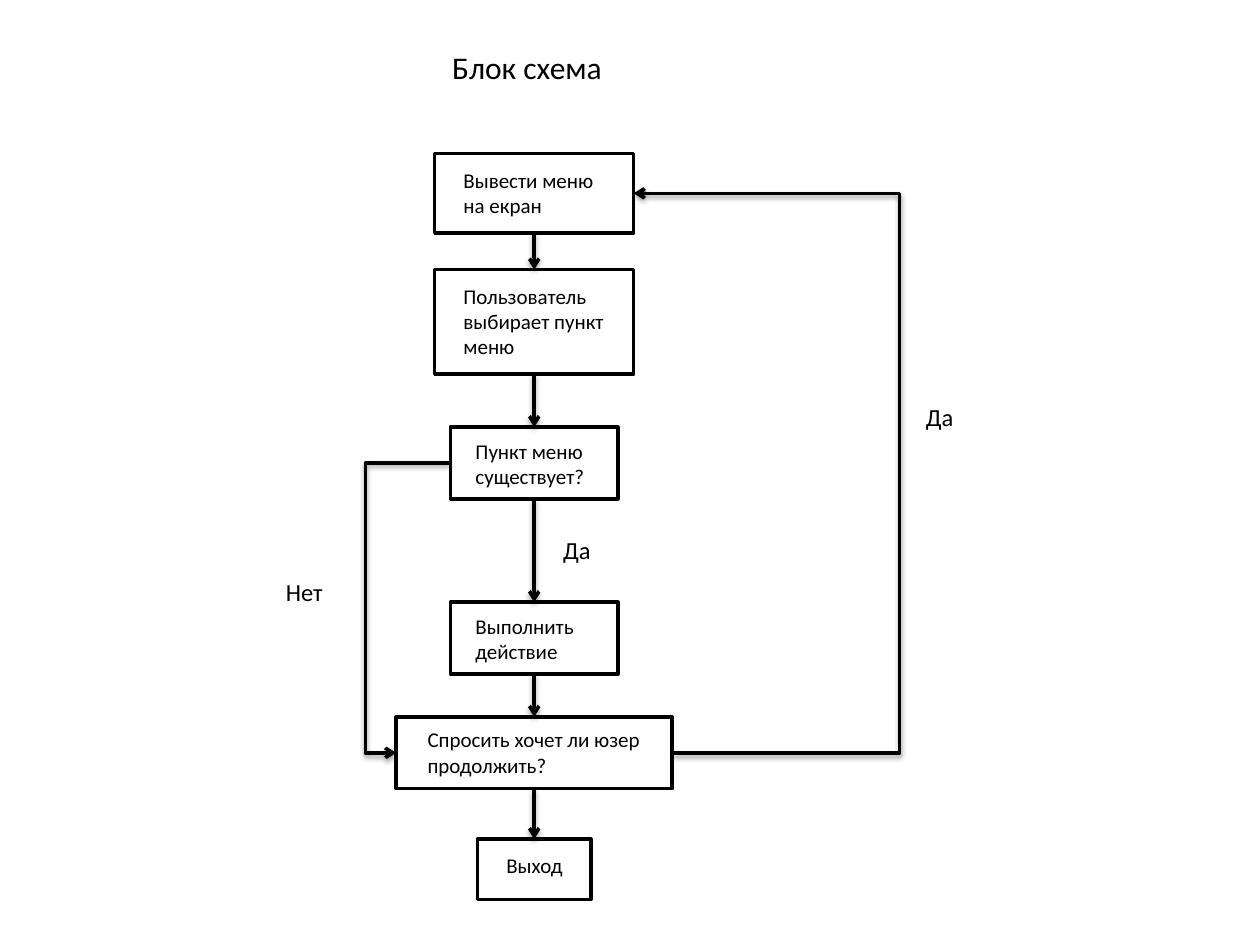
from dataclasses import dataclass
from itertools import pairwise

from lxml.etree import SubElement
from pptx import Presentation
from pptx.dml.color import RGBColor
from pptx.enum.shapes import MSO_CONNECTOR as Connector, MSO_SHAPE as Shape
from pptx.enum.text import MSO_AUTO_SIZE as AutoSize
from pptx.oxml.ns import qn
from pptx.util import Inches, Pt


@dataclass(frozen=True)
class Theme:
    font: str = "Calibri"
    ink: RGBColor = RGBColor(0, 0, 0)
    line: float = 2
    title: int = 18
    label: int = 14
    step: int = 12


@dataclass(frozen=True)
class Region:
    """Area of the slide in inches, divided into square cells."""
    left: float
    top: float
    cell: float = 0.1

    def x(self, column):
        return Inches(self.left + column * self.cell)

    def y(self, row):
        return Inches(self.top + row * self.cell)

    def place(self, column, row, columns, rows):
        return (self.x(column), self.y(row),
                Inches(columns * self.cell), Inches(rows * self.cell))


@dataclass(frozen=True)
class Step:
    text: str
    top: float
    width: float
    height: float
    # Text area: offset from the step's corner, then size
    text_area: tuple
    axis: float = 22.4

    @property
    def left(self):
        return self.axis - self.width / 2

    @property
    def right(self):
        return self.axis + self.width / 2

    @property
    def middle(self):
        return self.top + self.height / 2


THEME = Theme()

STEPS = [
    Step("Вывести меню на екран", 2.2, 15.8, 6.3, (1.3, 0.6, 13.3, 5)),
    Step("Пользователь выбирает пункт меню", 11.4, 15.8, 8.3, (1.3, 0.6, 13.3, 7.1)),
    Step("Пункт меню существует?", 23.9, 13.3, 5.7, (1, 0.4, 11.2, 5)),
    Step("Выполнить действие", 37.8, 13.3, 5.7, (1, 0.4, 11.2, 5)),
    Step("Спросить хочет ли юзер продолжить?", 46.9, 21.9, 5.7, (1.5, 0.3, 20, 5)),
    Step("Выход", 56.6, 9, 4.8, (1.3, 0.6, 6.7, 3)),
]
LABELS = [
    ("Да", (52.5, 21.4, 5.5, 3.4)),
    ("Да", (23.7, 32, 5.5, 3.4)),
    ("Нет", (1.7, 35.3, 5, 3.4)),
]
RETURN_COLUMN = 51.4
SKIP_COLUMN = 9


def add_text(slide, region, area, text, size):
    text_box = slide.shapes.add_textbox(*region.place(*area))
    frame = text_box.text_frame
    frame.word_wrap = " " in text
    frame.auto_size = AutoSize.SHAPE_TO_FIT_TEXT
    run = frame.paragraphs[0].add_run()
    run.text = text
    run.font.name = THEME.font
    run.font.size = Pt(size)
    run.font.color.rgb = THEME.ink


def add_step(slide, region, step):
    shape = slide.shapes.add_shape(
        Shape.RECTANGLE, *region.place(step.left, step.top, step.width, step.height))
    shape.shadow.inherit = False
    shape.fill.background()
    shape.line.color.rgb = THEME.ink
    shape.line.width = Pt(THEME.line)
    across, down, width, height = step.text_area
    add_text(slide, region, (step.left + across, step.top + down, width, height),
             step.text, THEME.step)
    return shape


def style_arrow(connector):
    connector.line.color.rgb = THEME.ink
    connector.line.width = Pt(THEME.line)
    SubElement(connector.line._get_or_add_ln(), qn("a:tailEnd"), type="arrow")
    # Soft shadow straight below the line
    effects = SubElement(connector._element.spPr, qn("a:effectLst"))
    shadow = SubElement(effects, qn("a:outerShdw"), blurRad="40000", dist="20000",
                        dir="5400000", rotWithShape="0")
    color = SubElement(shadow, qn("a:srgbClr"), val=str(THEME.ink))
    SubElement(color, qn("a:alpha"), val="38000")


def add_down_arrow(slide, upper, lower):
    connector = slide.shapes.add_connector(Connector.STRAIGHT, 0, 0, 0, 0)
    connector.begin_connect(upper, 2)
    connector.end_connect(lower, 0)
    style_arrow(connector)


def add_bent_arrow(slide, region, start, end, bend_column):
    connector = slide.shapes.add_connector(
        Connector.ELBOW, region.x(start[0]), region.y(start[1]),
        region.x(end[0]), region.y(end[1]))
    # The bend is a share of the way from start to end
    bend = round((bend_column - start[0]) / (end[0] - start[0]) * 100000)
    guides = connector._element.spPr.find(qn("a:prstGeom")).get_or_add_avLst()
    SubElement(guides, qn("a:gd"), name="adj1", fmla=f"val {bend}")
    style_arrow(connector)


def add_title(slide, region):
    add_text(slide, region, (14.9, 3.3, 15, 4), "Блок схема", THEME.title)


def add_flowchart(slide, region):
    # Steps and the arrows between them
    shapes = [add_step(slide, region, step) for step in STEPS]
    for upper, lower in pairwise(shapes):
        add_down_arrow(slide, upper, lower)

    # Return to the menu, and skip of the action
    menu, _, check, _, ask, _ = STEPS
    add_bent_arrow(slide, region, (ask.right, ask.middle),
                   (menu.right, menu.middle), RETURN_COLUMN)
    add_bent_arrow(slide, region, (check.left, check.middle),
                   (ask.left, ask.middle), SKIP_COLUMN)

    # Answers beside the arrows
    for text, area in LABELS:
        add_text(slide, region, area, text, THEME.label)


presentation = Presentation()
presentation.slide_width = Inches(10)
presentation.slide_height = Inches(7.5)
slide = presentation.slides.add_slide(presentation.slide_layouts[6])
add_title(slide, Region(2, 0))
add_flowchart(slide, Region(2, 1))
presentation.save("out.pptx")
